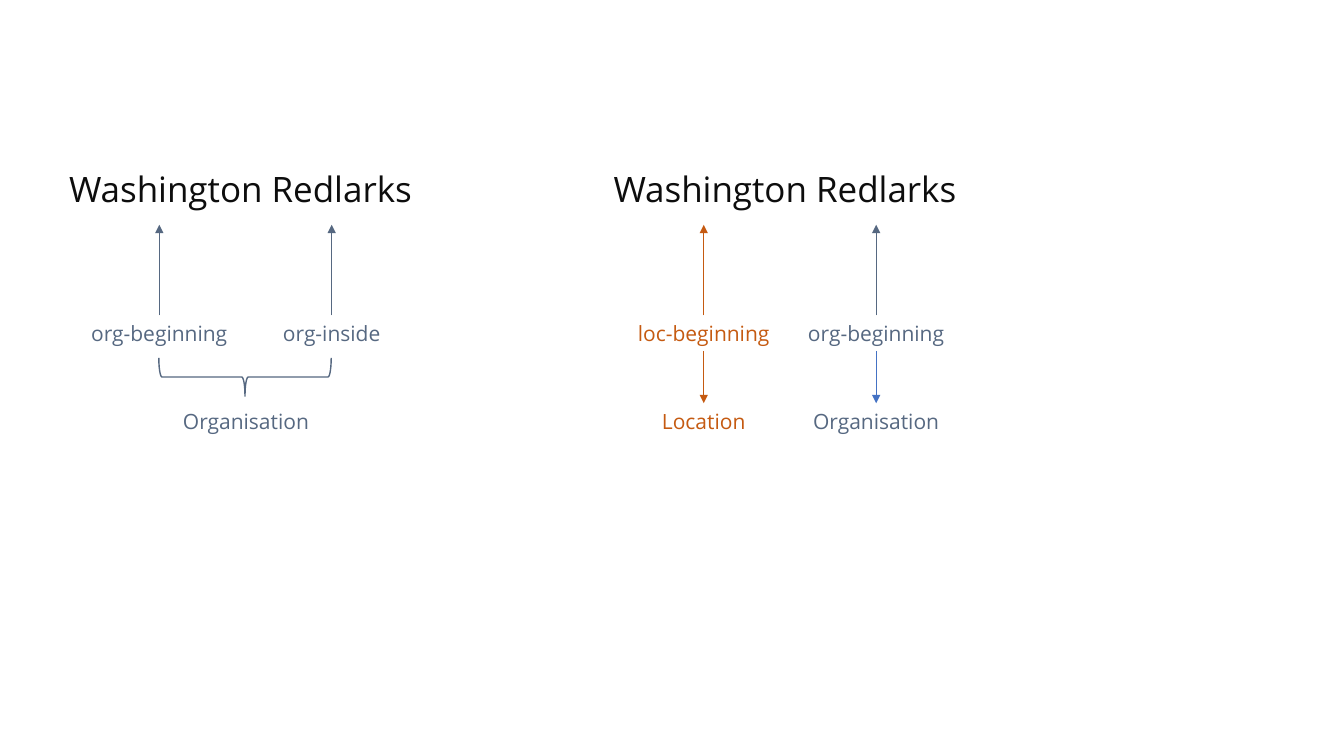
import pptx
import pptx.util
import pptx.dml.color
import pptx.enum.shapes
import pptx.enum.text
import pptx.oxml
import pptx.oxml.ns
from pptx.util import Inches

SLATE, ORANGE, BLUE, BLACK = "566881", "C55A11", "4472C4", "0D0D0D"
PHRASE_TOP, TAG_TOP, ENTITY_TOP = 1.61, 3.13, 4.0
PHRASE_HEIGHT, LABEL_HEIGHT = 0.52, 0.35
ARROW_TOP = 2.23


def add_label(words, center, top, width, height=LABEL_HEIGHT, size=15, color=SLATE):
    """Add one line of text centred on the given x position."""
    box = page.shapes.add_textbox(
        Inches(center - width / 2), Inches(top), Inches(width), Inches(height))
    box.text_frame.word_wrap = False
    paragraph = box.text_frame.paragraphs[0]
    paragraph.text = words
    paragraph.alignment = pptx.enum.text.PP_ALIGN.CENTER
    paragraph.font.name = "Open Sans"
    paragraph.font.size = pptx.util.Pt(size)
    paragraph.font.color.rgb = pptx.dml.color.RGBColor.from_string(color)


def add_arrow(x, start, end, color):
    """Add a thin vertical arrow pointing at the end position."""
    arrow = page.shapes.add_connector(
        pptx.enum.shapes.MSO_CONNECTOR.STRAIGHT,
        Inches(x), Inches(start), Inches(x), Inches(end))
    arrow.line.width = pptx.util.Pt(0.5)
    arrow.line.color.rgb = pptx.dml.color.RGBColor.from_string(color)
    head = pptx.oxml.parse_xml(
        '<a:tailEnd %s type="triangle"/>' % pptx.oxml.ns.nsdecls("a"))
    arrow.line._get_or_add_ln().append(head)
    arrow._element.spPr.append(
        pptx.oxml.parse_xml("<a:effectLst %s/>" % pptx.oxml.ns.nsdecls("a")))


deck = pptx.Presentation()
deck.slide_width, deck.slide_height = Inches(13.33), Inches(7.5)
page = deck.slides.add_slide(deck.slide_layouts[6])

# The same phrase heads both readings
for phrase_center in (2.385, 7.785):
    add_label("Washington Redlarks", phrase_center, PHRASE_TOP, 3.69,
              PHRASE_HEIGHT, 25, BLACK)

# Each word has a tag below it, with an arrow up to the word
tags = [
    ("org-beginning", 1.58, 1.57, SLATE),
    ("org-inside", 3.29, 1.18, SLATE),
    ("loc-beginning", 6.98, 1.52, ORANGE),
    ("org-beginning", 8.69, 1.57, SLATE),
]
for words, center, width, color in tags:
    add_label(words, center, TAG_TOP, width, color=color)
    add_arrow(center, TAG_TOP, ARROW_TOP, color)

# Left reading: a brace joins both tags into one entity
brace_center, brace_middle = 2.43, 3.74
brace_width, brace_height = 0.38, 1.71
brace = page.shapes.add_shape(
    pptx.enum.shapes.MSO_SHAPE.LEFT_BRACE,
    Inches(brace_center - brace_width / 2), Inches(brace_middle - brace_height / 2),
    Inches(brace_width), Inches(brace_height))
brace.rotation = 270
brace.shadow.inherit = False
brace.fill.background()
brace.line.width = pptx.util.Pt(1)
brace.line.color.rgb = pptx.dml.color.RGBColor.from_string(SLATE)
add_label("Organisation", 2.44, ENTITY_TOP, 1.52)

# Right reading: each tag leads to its own entity
entities = [
    ("Location", 6.98, 1.04, ORANGE, ORANGE),
    ("Organisation", 8.69, 1.52, SLATE, BLUE),
]
for words, center, width, color, arrow_color in entities:
    add_label(words, center, ENTITY_TOP, width, color=color)
    add_arrow(center, TAG_TOP + LABEL_HEIGHT, ENTITY_TOP, arrow_color)

deck.save("out.pptx")
